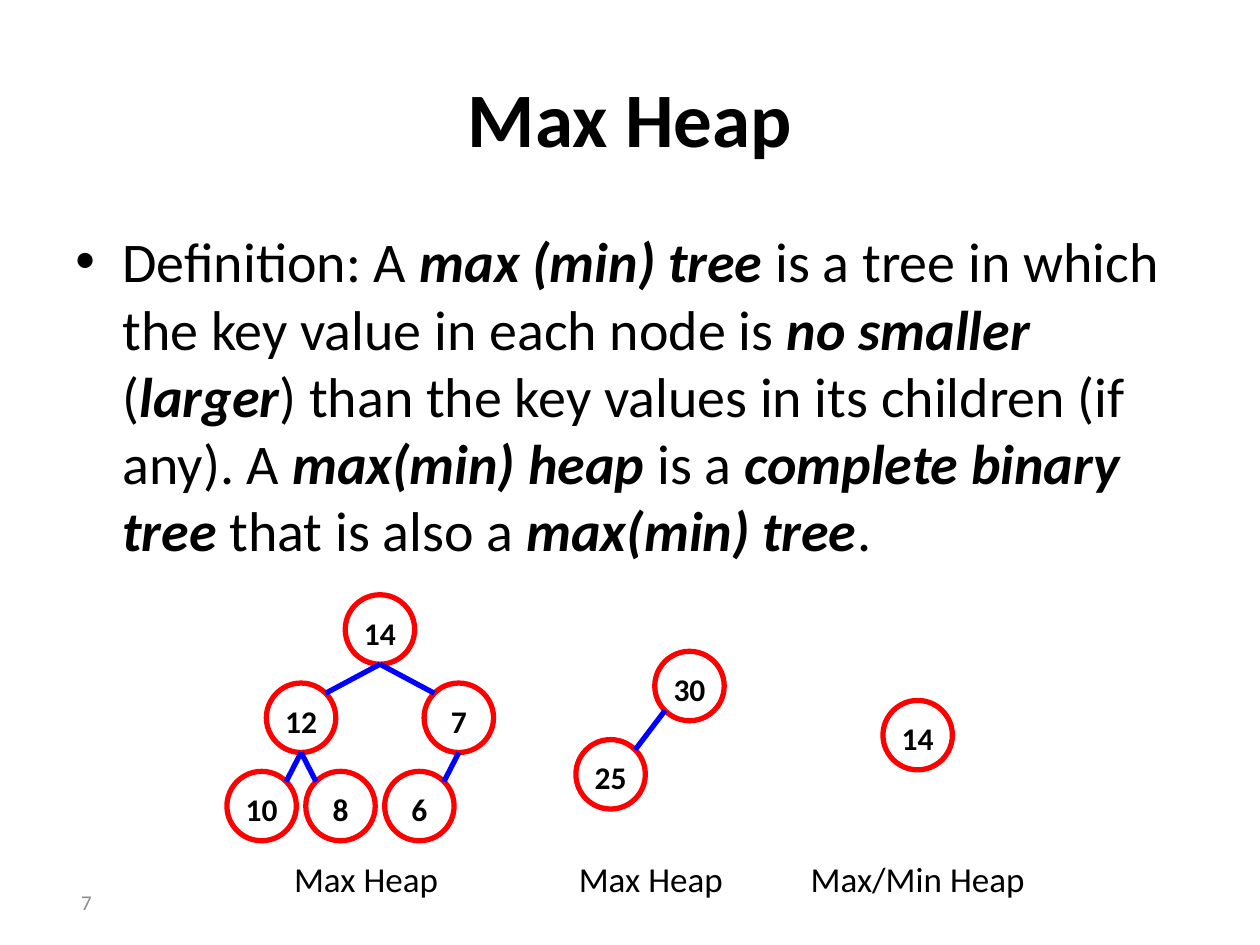
import math

import pptx
import pptx.dml.color
import pptx.enum.shapes
import pptx.enum.text
import pptx.oxml.ns
import pptx.util
from lxml import etree

Cm = pptx.util.Cm
ALIGN = pptx.enum.text.PP_ALIGN
ANCHOR = pptx.enum.text.MSO_ANCHOR

COLORS = {"text": "000000", "node": "FF0000", "edge": "0000FF", "number": "8C8C8C"}
RADIUS = 0.7
LEVEL_GAP = 1.78
SPREAD = 1.59
DIAGONAL = RADIUS * math.sqrt(0.5)

DEFINITION = [
    "Definition: A ", "max (min) tree",
    " is a tree in which the key value in each node is ", "no smaller",
    " (", "larger",
    ") than the key values in its children (if any). A ", "max(min) heap ",
    "is a ", "complete binary tree ",
    "that is also a ", "max(min) tree", ".",
]
HEAPS = [
    {"keys": [14, 12, 7, 10, 8, 6], "root": (7.66, 12.69), "label": "Max Heap",
     "label_x": 7.38, "edge_start": (0, RADIUS)},
    {"keys": [30, 25], "root": (13.9, 13.83), "label": "Max Heap",
     "label_x": 13.12, "edge_start": (-DIAGONAL, DIAGONAL)},
    {"keys": [14], "root": (18.5, 14.82), "label": "Max/Min Heap",
     "label_x": 18.5, "edge_start": (0, RADIUS)},
]


def rgb(name):
    """Return the named colour."""
    return pptx.dml.color.RGBColor.from_string(COLORS[name])


def add_run(p, text, size, color="text", **formats):
    """Add a formatted run to a paragraph."""
    r = p.add_run()
    r.text = text
    values = {"name": "Calibri", "size": pptx.util.Pt(size), **formats}
    for key, value in values.items():
        setattr(r.font, key, value)
    r.font.color.rgb = rgb(color)


def add_box(s, left, top, width, height, align=ALIGN.CENTER, anchor=ANCHOR.MIDDLE):
    """Add a wrapping text box and return its paragraph."""
    tf = s.shapes.add_textbox(Cm(left), Cm(top), Cm(width), Cm(height)).text_frame
    for key, value in {"word_wrap": True, "vertical_anchor": anchor}.items():
        setattr(tf, key, value)
    p = tf.paragraphs[0]
    p.alignment = align
    return p


def add_definition(s):
    """Add the bulleted definition, with every second run emphasised."""
    p = add_box(s, 1.27, 4.45, 22.86, 12.57, ALIGN.LEFT, ANCHOR.TOP)
    pPr = p._p.get_or_add_pPr()
    pPr.set("marL", str(Cm(0.95)))
    pPr.set("indent", str(Cm(-0.95)))
    qn = pptx.oxml.ns.qn
    etree.SubElement(pPr, qn("a:buFont")).set("typeface", "Arial")
    etree.SubElement(pPr, qn("a:buChar")).set("char", "•")
    for i, text in enumerate(DEFINITION):
        strong = i % 2 == 1
        add_run(p, text, 32, bold=strong, italic=strong)


def add_node(s, x, y, key):
    """Add a circled key centred on a point."""
    sp = s.shapes.add_shape(
        pptx.enum.shapes.MSO_SHAPE.OVAL,
        Cm(x - RADIUS), Cm(y - RADIUS), Cm(2 * RADIUS), Cm(2 * RADIUS))
    sp.shadow.inherit = False
    sp.fill.background()
    sp.line.color.rgb = rgb("node")
    sp.line.width = pptx.util.Pt(3)
    tf = sp.text_frame
    formats = {"margin_left": 0, "margin_right": 0, "margin_top": Cm(0.12),
               "margin_bottom": 0, "word_wrap": False,
               "vertical_anchor": ANCHOR.MIDDLE}
    for name, value in formats.items():
        setattr(tf, name, value)
    p = tf.paragraphs[0]
    p.alignment = ALIGN.CENTER
    add_run(p, str(key), 18, bold=True)


def add_edge(s, x1, y1, x2, y2):
    """Add a line between two points."""
    line = s.shapes.add_connector(
        pptx.enum.shapes.MSO_CONNECTOR.STRAIGHT, Cm(x1), Cm(y1), Cm(x2), Cm(y2))
    line.line.color.rgb = rgb("edge")
    line.line.width = pptx.util.Pt(3)
    etree.SubElement(line._element.spPr, pptx.oxml.ns.qn("a:effectLst"))


def add_heap(s, keys, root, label, label_x, edge_start):
    """Draw a heap stored in array order, with its label."""
    centres = [root]
    for i in range(1, len(keys)):
        x, y = centres[(i - 1) // 2]
        level = (i + 1).bit_length() - 1
        side = -1 if i % 2 else 1
        centres.append((x + side * SPREAD / 2 ** (level - 1), y + LEVEL_GAP))
    for (x, y), key in zip(centres, keys):
        add_node(s, x, y, key)
    for i, (x, y) in enumerate(centres[1:], 1):
        px, py = centres[(i - 1) // 2]
        toward_parent = math.copysign(DIAGONAL, px - x)
        add_edge(s, px + edge_start[0], py + edge_start[1],
                 x + toward_parent, y - DIAGONAL)
    add_run(add_box(s, label_x - 2.75, 16.89, 5.5, 1.62), label, 20)


def main():
    """Build the slide."""
    prs = pptx.Presentation()
    prs.slide_width, prs.slide_height = Cm(25.4), Cm(19.05)
    s = prs.slides.add_slide(prs.slide_layouts[6])
    add_run(add_box(s, 1.27, 0.76, 22.86, 3.18), "Max Heap", 44, bold=True)
    add_definition(s)
    for heap in HEAPS:
        add_heap(s, **heap)
    add_run(add_box(s, 0.6, 17.68, 1.5, 1.02, ALIGN.RIGHT), "7", 12, "number")
    prs.save("out.pptx")


if __name__ == "__main__":
    main()
